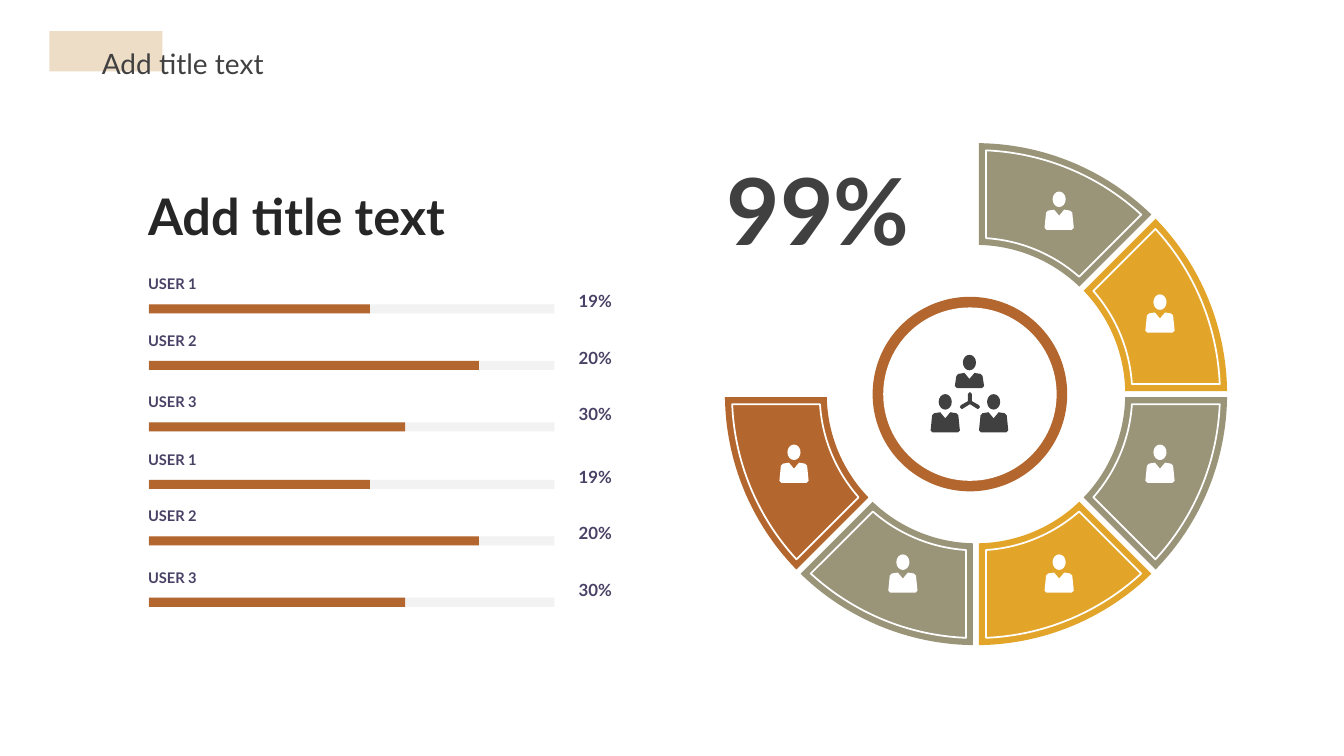
from math import asin, cos, pi, radians, sin, tan

from pptx import Presentation
from pptx.dml.color import RGBColor
from pptx.enum.shapes import MSO_SHAPE
from pptx.enum.text import MSO_ANCHOR, MSO_AUTO_SIZE, PP_ALIGN
from pptx.oxml.ns import qn
from pptx.util import Inches, Pt

RECTANGLE, OVAL = MSO_SHAPE.RECTANGLE, MSO_SHAPE.OVAL
JUSTIFY, TOP, NO_AUTOFIT = PP_ALIGN.JUSTIFY, MSO_ANCHOR.TOP, MSO_AUTO_SIZE.NONE
TITLE_ONLY = 5

COLORS = {
    "sand": "EDDDC6", "rust": "B3672E", "khaki": "9A9479", "gold": "E2A52A",
    "track": "F2F2F2", "white": "FFFFFF", "dark": "404040", "heading": "262626",
    "label": "4A4266",
}

TITLE = ("Add title text", (0.91, 0.24, 3.5, 0.55))
TEXTS = [
    ("Add title text", (1.37, 1.79, 4.74, 0.71), 36, "heading"),
    ("99%", (7.11, 1.47, 2.53, 1.21), 66, "dark"),
]

USERS = [
    ("USER 1", "19%", 2.19, 0),
    ("USER 2", "20%", 3.27, 0.56),
    ("USER 3", "30%", 2.54, 1.17),
]
BLOCK_TOPS = [3.02, 4.76]
PERCENT_STEP = 0.56

SEGMENTS = [
    ("khaki", (10.36, 1.9)),
    ("gold", (11.36, 2.92)),
    ("khaki", (11.36, 4.41)),
    ("gold", (10.36, 5.5)),
    ("khaki", (8.81, 5.5)),
    ("rust", (7.73, 4.41)),
]
RING_CENTER = (9.68, 3.91)
SEGMENT_ANGLE = 45
BAND = {"inner": 1.48, "outer": 2.49, "half_gap": 0.03}
INSET = {"inner": 1.55, "outer": 2.42, "half_gap": 0.1}

HUB_CENTER = (9.62, 3.91)
HUB_CIRCLES = [("rust", 1.93), ("white", 1.72)]
TEAM = [(9.47, 3.52, 0.33), (9.23, 3.91, 0.38), (9.71, 3.91, 0.38)]
TEAM_LINK = [
    (9.6, 3.91), (9.62, 3.89), (9.64, 3.91), (9.64, 3.98), (9.71, 4.02),
    (9.72, 4.04), (9.7, 4.06), (9.62, 4.01), (9.54, 4.06), (9.52, 4.04),
    (9.53, 4.02), (9.6, 3.98),
]
PERSON_WIDTH, PERSON_HEIGHT = 0.29, 0.38
HEAD_RADII = (0.065, 0.077)

presentation = Presentation()
presentation.slide_width, presentation.slide_height = Inches(13.33), Inches(7.5)
slide = presentation.slides.add_slide(presentation.slide_layouts[TITLE_ONLY])


def rgb(color):
    return RGBColor.from_string(COLORS[color])


def paint(shape, fill=None, line=None):
    shape.shadow.inherit = False
    if fill:
        shape.fill.solid()
        shape.fill.fore_color.rgb = rgb(fill)
    else:
        shape.fill.background()
    if line:
        shape.line.color.rgb = rgb(line)
        shape.line.width = Pt(1.25)
    else:
        shape.line.fill.background()
    return shape


def add_preset(kind, box, fill):
    return paint(slide.shapes.add_shape(kind, *map(Inches, box)), fill)


def add_outline(contours, fill=None, line=None):
    builder = None
    for contour in contours:
        points = [(Inches(x), Inches(y)) for step in contour for x, y in step]
        if builder:
            builder.move_to(*points[0])
        else:
            builder = slide.shapes.build_freeform(*points[0])
        builder.add_line_segments(points[1:], close=True)
    shape = builder.convert_to_shape()
    lines = iter(list(shape._element.iter(qn("a:lnTo"))))
    for step in (step for contour in contours for step in contour[1:]):
        drawn = next(lines)
        if len(step) == 3:
            drawn.tag = qn("a:cubicBezTo")
            for extra in (next(lines), next(lines)):
                drawn.append(extra[0])
                extra.getparent().remove(extra)
    paint(shape, fill, line)


def write(shape, text, size, color, bold=True):
    frame = shape.text_frame
    frame.word_wrap = True
    frame.auto_size = NO_AUTOFIT
    frame.vertical_anchor = TOP
    paragraph = frame.paragraphs[0]
    run = paragraph.add_run()
    run.text = text
    for name, value in {"name": "Lato", "size": Pt(size), "bold": bold}.items():
        setattr(run.font, name, value)
    run.font.color.rgb = rgb(color)
    return paragraph


def add_text(text, box, size, color):
    write(slide.shapes.add_textbox(*map(Inches, box)), text, size, color)


def arc(center, radius_x, radius_y, start, end, curves=1):
    def place(angle, pull=0):
        return (center[0] + radius_x * (sin(angle) + pull * cos(angle)),
                center[1] - radius_y * (cos(angle) - pull * sin(angle)))

    sweep = (end - start) / curves
    pull = 4 / 3 * tan(sweep / 4)
    steps = [(place(start),)]
    for number in range(curves):
        first = start + number * sweep
        last = first + sweep
        steps.append((place(first, pull), place(last, -pull), place(last)))
    return steps


def sector(index, inner, outer, half_gap):
    start = radians(index * SEGMENT_ANGLE)
    end = start + radians(SEGMENT_ANGLE)
    outer_trim, inner_trim = asin(half_gap / outer), asin(half_gap / inner)
    return [
        *arc(RING_CENTER, outer, outer, start + outer_trim, end - outer_trim),
        *arc(RING_CENTER, inner, inner, end - inner_trim, start + inner_trim),
    ]


def add_person(left, top, color, height=PERSON_HEIGHT):
    middle = left + PERSON_WIDTH / 2
    head = arc((middle, top + HEAD_RADII[1]), *HEAD_RADII, 0, 2 * pi, curves=4)
    half = [(0.05, 0.18), (0.11, 0.19), (0.13, 0.21),
            (0.145, height - 0.02), (0.125, height)]
    body = [(middle, top + 0.24)]
    body += [(middle + x, top + y) for x, y in half]
    body += [(middle - x, top + y) for x, y in reversed(half)]
    add_outline([head, [(point,) for point in body]], color)


title = slide.shapes.title
title_text, title_box = TITLE
for name, value in zip(("left", "top", "width", "height"), title_box):
    setattr(title, name, Inches(value))
title_paragraph = write(title, title_text, 20, "dark", bold=False)
title_paragraph.alignment = JUSTIFY
title_paragraph.line_spacing = 1.5
title_band = add_preset(RECTANGLE, (0.49, 0.31, 1.12, 0.4), "sand")
title._element.addprevious(title_band._element)

for text in TEXTS:
    add_text(*text)

for block_top in BLOCK_TOPS:
    for row, (user, percent, length, offset) in enumerate(USERS):
        bar_top = block_top + offset
        percent_top = block_top - 0.18 + row * PERCENT_STEP
        add_preset(RECTANGLE, (1.47, bar_top, 4.03, 0.09), "track")
        add_preset(RECTANGLE, (1.48, bar_top, length, 0.09), "rust")
        add_text(user, (1.37, bar_top - 0.34, 2.42, 0.29), 10.5, "label")
        add_text(percent, (5.64, percent_top, 0.76, 0.3), 12, "label")

for index, (color, person) in enumerate(SEGMENTS):
    add_outline([sector(index, **BAND)], fill=color)
    add_outline([sector(index, **INSET)], line="white")
    add_person(*person, "white")

for color, size in HUB_CIRCLES:
    left, top = (middle - size / 2 for middle in HUB_CENTER)
    add_preset(OVAL, (left, top, size, size), color)
for left, top, height in TEAM:
    add_person(left, top, "dark", height)
add_outline([[(point,) for point in TEAM_LINK]], "dark")

presentation.save("out.pptx")
